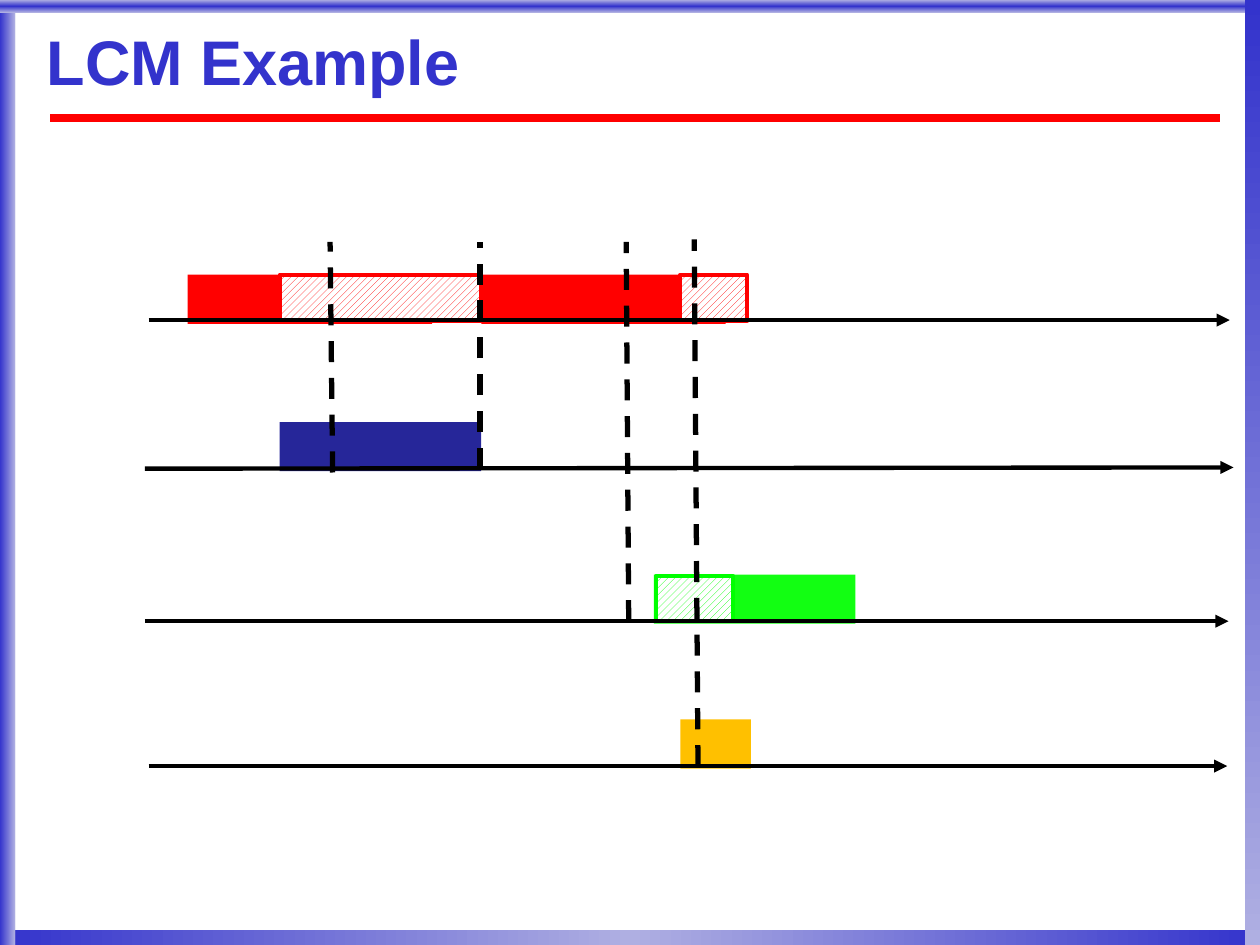
from lxml import etree
from pptx import Presentation
from pptx.dml.color import RGBColor
from pptx.enum.dml import MSO_LINE, MSO_PATTERN
from pptx.enum.shapes import MSO_CONNECTOR, MSO_SHAPE
from pptx.enum.text import MSO_ANCHOR
from pptx.oxml import parse_xml
from pptx.oxml.ns import nsdecls, qn
from pptx.util import Inches, Pt

BLUE = RGBColor(0x33, 0x33, 0xCC)
PALE = RGBColor(0xAF, 0xAF, 0xE2)
RED = RGBColor(0xFF, 0x00, 0x00)
NAVY = RGBColor(0x26, 0x26, 0x99)
GREEN = RGBColor(0x12, 0xFF, 0x12)
LIME = RGBColor(0x00, 0xFF, 0x00)
AMBER = RGBColor(0xFF, 0xC0, 0x00)
BLACK = RGBColor(0, 0, 0)
WHITE = RGBColor(0xFF, 0xFF, 0xFF)

TITLE = "LCM Example"

# Frame bars: left, top, width, height, gradient colours, angle
FRAME = [
    (0, 7.38, 10, 0.13, (BLUE, PALE, BLUE), 0),
    (0, 0, 0.12, 7.5, (BLUE, PALE), 0),
    (0, 0, 10, 0.1, (PALE, BLUE, PALE), 90),
    (9.88, 0, 0.12, 7.5, (BLUE, PALE), 90),
]
# Running intervals: left, top, width, colour
RUNNING = [
    (1.49, 2.18, 1.94, RED),
    (2.22, 3.35, 1.6, NAVY),
    (3.82, 2.18, 1.94, RED),
    (5.19, 4.56, 1.6, GREEN),
    (5.4, 5.71, 0.56, AMBER),
]
RUN_H = 0.39
# Waiting intervals: left, top, width, height, colour
WAITING = [
    (2.22, 2.18, 1.6, 0.37, RED),
    (5.21, 4.57, 0.61, 0.36, LIME),
    (5.4, 2.18, 0.53, 0.37, RED),
]
# Event markers and time axes: x1, y1, x2, y2
EVENTS = [
    (2.64, 3.75, 2.62, 1.92),
    (3.81, 3.72, 3.81, 1.92),
    (4.99, 4.93, 4.97, 1.92),
    (5.54, 6.08, 5.51, 1.9),
]
AXES = [
    (1.18, 2.54, 9.76, 2.54),
    (1.15, 3.72, 9.79, 3.71),
    (1.15, 4.93, 9.75, 4.93),
    (1.18, 6.08, 9.74, 6.08),
]

prs = Presentation()
prs.slide_width, prs.slide_height = Inches(10), Inches(7.5)
s = prs.slides.add_slide(prs.slide_layouts[6])


def add_rect(x, y, w, h):
    sp = s.shapes.add_shape(MSO_SHAPE.RECTANGLE, *map(Inches, (x, y, w, h)))
    sp.shadow.inherit = False
    sp.line.fill.background()
    return sp


def set_gradient(sp, colors, angle):
    step = 100000 // (len(colors) - 1)
    stops = "".join(f'<a:gs pos="{i * step}"><a:srgbClr val="{c}"/></a:gs>'
                    for i, c in enumerate(colors))
    sp._element.spPr.find(qn("a:prstGeom")).addnext(parse_xml(
        f'<a:gradFill {nsdecls("a")} rotWithShape="1"><a:gsLst>{stops}</a:gsLst>'
        f'<a:lin ang="{angle * 60000}" scaled="0"/></a:gradFill>'))


def add_line(x1, y1, x2, y2, color, width):
    cn = s.shapes.add_connector(MSO_CONNECTOR.STRAIGHT,
                                *map(Inches, (x1, y1, x2, y2)))
    cn.line.color.rgb = color
    cn.line.width = Pt(width)
    etree.SubElement(cn._element.spPr, qn("a:effectLst"))
    return cn


# Frame and title rule
for *box, colors, angle in FRAME:
    set_gradient(add_rect(*box), colors, angle)
add_line(0.4, 0.94, 9.68, 0.94, RED, 4.5)

# Title with a soft grey shadow
tf = s.shapes.add_textbox(*map(Inches, (0.37, 0.15, 9.47, 0.74))).text_frame
tf.word_wrap = True
tf.vertical_anchor = MSO_ANCHOR.MIDDLE
tf.margin_left = tf.margin_right = tf.margin_top = tf.margin_bottom = 0
p = tf.paragraphs[0]
p.line_spacing = 0.87
r = p.add_run()
r.text = TITLE
r.font.size, r.font.bold, r.font.name = Pt(36), True, "Arial"
r.font.color.rgb = BLUE
r.font._element.find(qn("a:solidFill")).addnext(parse_xml(
    f'<a:effectLst {nsdecls("a")}><a:outerShdw dist="38100" dir="2700000">'
    '<a:srgbClr val="C0C0C0"/></a:outerShdw></a:effectLst>'))

# Running and waiting intervals
for x, y, w, color in RUNNING:
    sp = add_rect(x, y, w, RUN_H)
    sp.fill.solid()
    sp.fill.fore_color.rgb = color
for *box, color in WAITING:
    sp = add_rect(*box)
    sp.fill.patterned()
    sp.fill.pattern = MSO_PATTERN.WIDE_UPWARD_DIAGONAL
    sp.fill.fore_color.rgb = color
    sp.fill.back_color.rgb = WHITE
    sp.line.color.rgb = color
    sp.line.width = Pt(2.25)

# Event markers and time axes
for ends in EVENTS:
    add_line(*ends, BLACK, 3).line.dash_style = MSO_LINE.DASH
for ends in AXES:
    ln = add_line(*ends, BLACK, 2.5).line._get_or_add_ln()
    etree.SubElement(ln, qn("a:tailEnd"), type="triangle")

prs.save("out.pptx")
